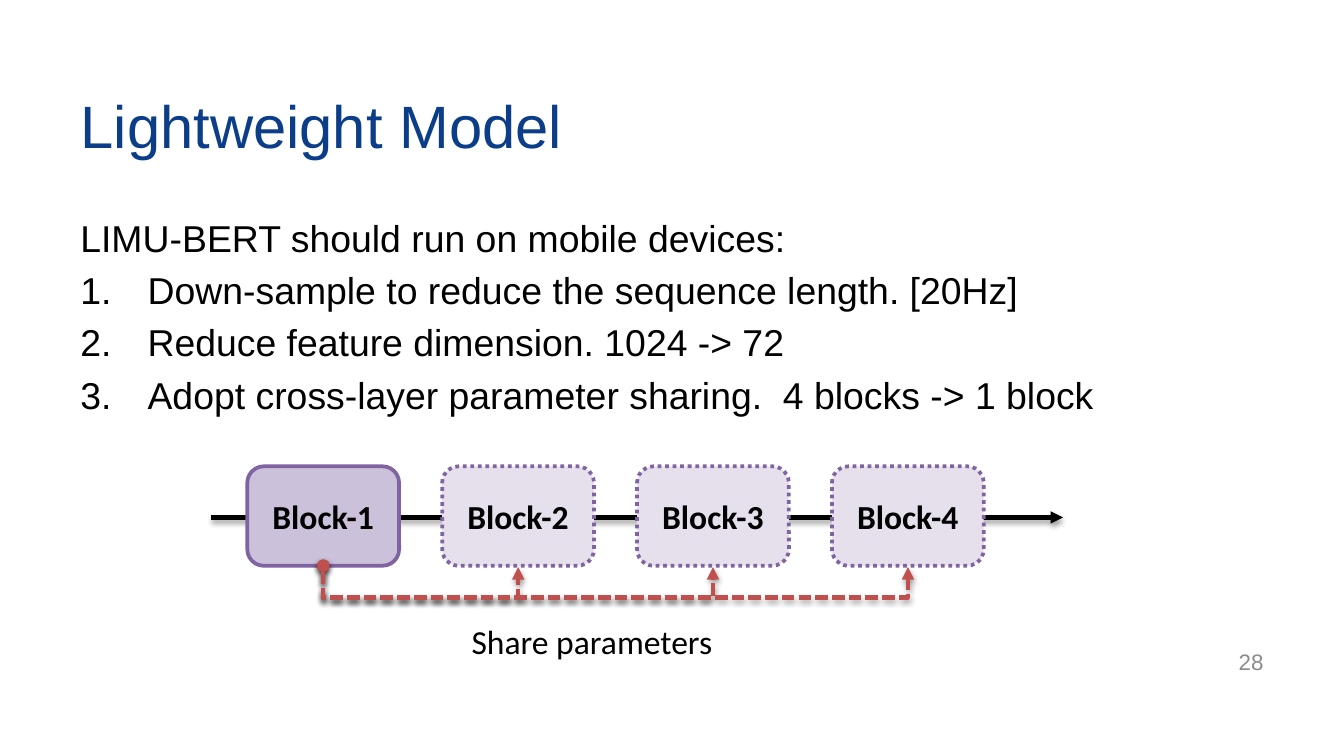
from lxml import etree
from pptx import Presentation
from pptx.dml.color import RGBColor
from pptx.enum.dml import MSO_LINE
from pptx.enum.shapes import MSO_CONNECTOR, MSO_SHAPE
from pptx.enum.text import MSO_ANCHOR, PP_ALIGN
from pptx.oxml.ns import qn
from pptx.util import Inches, Pt

STRAIGHT, ELBOW = MSO_CONNECTOR.STRAIGHT, MSO_CONNECTOR.ELBOW
ROUNDED = MSO_SHAPE.ROUNDED_RECTANGLE
DOTTED, DASHED = MSO_LINE.ROUND_DOT, MSO_LINE.SQUARE_DOT
LEFT, CENTER, RIGHT = PP_ALIGN.LEFT, PP_ALIGN.CENTER, PP_ALIGN.RIGHT
TOP, MIDDLE = MSO_ANCHOR.TOP, MSO_ANCHOR.MIDDLE

SLIDE_WIDTH = 10
INTRODUCTION = "LIMU-BERT should run on mobile devices:"
STEPS = [
    "Down-sample to reduce the sequence length. [20Hz]",
    "Reduce feature dimension. 1024 -> 72",
    "Adopt cross-layer parameter sharing.  4 blocks -> 1 block",
]
BLOCK_COUNT = 4
BLOCK_LEFT, BLOCK_TOP, BLOCK_WIDTH, BLOCK_HEIGHT = 1.84, 3.47, 1.13, 0.74
BLOCK_PITCH = 1.45
AXIS_Y = 3.85
SHARING_DEPTH = 0.24
ELBOW_SIZE = 0.01


def color(value):
    """Return the colour for a hex string."""
    return RGBColor.from_string(value)


def set_text(shape, lines, size, font, value, align=LEFT, anchor=TOP, bold=False):
    """Write one paragraph per line and format all the runs alike."""
    frame = shape.text_frame
    frame.text = "\n".join(lines)
    frame.vertical_anchor = anchor
    for paragraph in frame.paragraphs:
        paragraph.alignment = align
        for run in paragraph.runs:
            run.font.size = Pt(size)
            run.font.name = font
            run.font.bold = bold
            run.font.color.rgb = color(value)


def add_text(slide, box, lines, size, font, value, wrap=True, **options):
    """Add a text box and return it."""
    shape = slide.shapes.add_textbox(*map(Inches, box))
    shape.text_frame.word_wrap = wrap
    set_text(shape, lines, size, font, value, **options)
    return shape


def add_title(slide, text):
    """Place and format the title placeholder."""
    title = slide.shapes.title
    title.left, title.top = Inches(0.5), Inches(0.46)
    title.width, title.height = Inches(9), Inches(0.94)
    set_text(title, [text], 32, "Arial", "0B3D89", anchor=MIDDLE)


def number_paragraph(paragraph):
    """Give a paragraph an automatic number and a hanging indent."""
    properties = paragraph._p.get_or_add_pPr()
    properties.set("marL", str(Inches(0.5)))
    properties.set("indent", str(-Inches(0.5)))
    etree.SubElement(properties, qn("a:buFont"), typeface="+mj-lt")
    etree.SubElement(properties, qn("a:buAutoNum"), type="arabicPeriod")


def add_body(slide):
    """Add the introduction and the numbered steps."""
    body = add_text(slide, (0.5, 1.55, 8.87, 3.22), [INTRODUCTION, *STEPS],
                    20, "Arial", "000000")
    for index, paragraph in enumerate(body.text_frame.paragraphs):
        paragraph.space_before = Pt(4)
        if index:
            number_paragraph(paragraph)


def add_block(slide, index):
    """Add one block; those that reuse parameters are pale and dotted."""
    left = BLOCK_LEFT + index * BLOCK_PITCH
    box = (left, BLOCK_TOP, BLOCK_WIDTH, BLOCK_HEIGHT)
    block = slide.shapes.add_shape(ROUNDED, *map(Inches, box))
    block.shadow.inherit = False
    block.fill.solid()
    block.fill.fore_color.rgb = color("E6E0EC" if index else "CCC1DA")
    block.line.color.rgb = color("8064A2")
    block.line.width = Pt(2)
    if index:
        block.line.dash_style = DOTTED
    set_text(block, [f"Block-{index + 1}"], 18, "Calibri", "000000",
             align=CENTER, anchor=MIDDLE, bold=True)


def add_arrow(slide, kind, points, value, head=None, dash=None):
    """Add a connector with an arrowhead and a soft shadow."""
    arrow = slide.shapes.add_connector(kind, *map(Inches, points))
    arrow.line.color.rgb = color(value)
    arrow.line.width = Pt(2.25)
    if dash:
        arrow.line.dash_style = dash
    line = arrow.line._get_or_add_ln()
    if head:
        etree.SubElement(line, qn("a:headEnd"), type=head)
    etree.SubElement(line, qn("a:tailEnd"), type="triangle")
    effects = etree.SubElement(arrow._element.spPr, qn("a:effectLst"))
    shadow = etree.SubElement(effects, qn("a:outerShdw"), blurRad=str(Pt(3.1)),
                              dist=str(Pt(1.6)), dir="5400000", rotWithShape="0")
    shade = etree.SubElement(shadow, qn("a:srgbClr"), val="000000")
    etree.SubElement(shade, qn("a:alpha"), val="38000")
    return arrow


def add_sharing_arrow(slide, index):
    """Add the elbow arrow from under the first block to a later one."""
    span = index * BLOCK_PITCH
    middle_x = BLOCK_LEFT + BLOCK_WIDTH / 2 + span / 2
    middle_y = BLOCK_TOP + BLOCK_HEIGHT + ELBOW_SIZE / 2
    right, left = middle_x + ELBOW_SIZE / 2, middle_x - ELBOW_SIZE / 2
    points = (right, middle_y - span / 2, left, middle_y + span / 2)
    arrow = add_arrow(slide, ELBOW, points, "C0504D", head="oval", dash=DASHED)
    properties = arrow._element.spPr
    properties.find(qn("a:xfrm")).set("rot", str(270 * 60000))
    adjustments = properties.find(qn("a:prstGeom")).get_or_add_avLst()
    ratio = round(SHARING_DEPTH / ELBOW_SIZE * 100000)
    etree.SubElement(adjustments, qn("a:gd"), name="adj1", fmla=f"val {ratio}")


def main():
    """Build the slide and save it."""
    presentation = Presentation()
    presentation.slide_width = Inches(SLIDE_WIDTH)
    presentation.slide_height = Inches(SLIDE_WIDTH * 9 / 16)
    slide = presentation.slides.add_slide(presentation.slide_layouts[5])
    add_title(slide, "Lightweight Model")
    add_body(slide)
    add_arrow(slide, STRAIGHT, (1.57, AXIS_Y, 7.91, AXIS_Y), "000000")
    for index in range(BLOCK_COUNT):
        add_block(slide, index)
    for index in range(1, BLOCK_COUNT):
        add_sharing_arrow(slide, index)
    add_text(slide, (3.41, 4.57, 2.01, 0.4), ["Share parameters"],
             18, "Calibri", "000000", wrap=False)
    add_text(slide, (7.17, 4.77, 2.33, 0.3), ["28"], 12, "Arial", "8C8C8C",
             align=RIGHT, anchor=MIDDLE)
    presentation.save("out.pptx")


if __name__ == "__main__":
    main()
